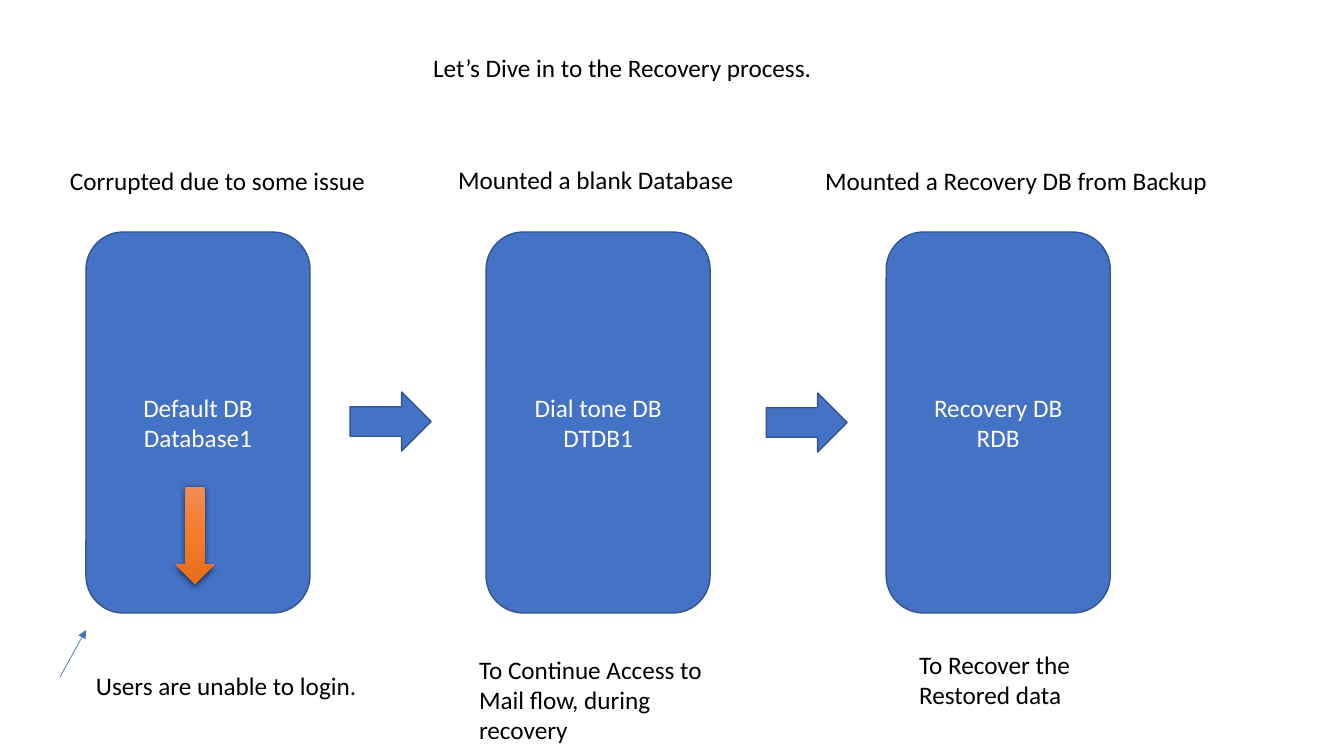
from lxml.etree import SubElement
from pptx import Presentation
from pptx.dml.color import RGBColor
from pptx.enum.shapes import MSO_CONNECTOR as Link, MSO_SHAPE as Kind
from pptx.enum.text import MSO_ANCHOR as Anchor, MSO_AUTO_SIZE as Fit, PP_ALIGN as Align
from pptx.oxml.ns import qn
from pptx.util import Inches, Pt

# Content: database cards, then labels as (text, left, top, width, height, wrap)
CARDS = [("Default DB", "Database1"), ("Dial tone DB", "DTDB1"), ("Recovery DB", "RDB")]
LABELS = [
    ("Let\u2019s Dive in to the Recovery process.", 423, 47, 403, 40, False),
    ("Corrupted due to some issue", 60, 160, 318, 40, False),
    ("Mounted a blank Database", 448, 159, 298, 40, False),
    ("Mounted a Recovery DB from Backup", 815, 160, 406, 40, False),
    ("Users are unable to login.", 86, 665, 284, 40, False),
    ("To Continue Access to Mail flow, during recovery", 469, 649, 278, 102, True),
    ("To Recover the Restored data", 909, 644, 244, 72, True),
]
STEPS = [(350, 392), (766, 393)]
GLOW = [(0, "F18C57"), (50, "F67B28"), (100, "E56C19")]

# Style
FONT, SIZE = "Calibri", Pt(18)
BLUE = RGBColor(0x44, 0x72, 0xC4)
EDGE = RGBColor(0x32, 0x54, 0x91)
WHITE = RGBColor(255, 255, 255)
BLACK = RGBColor(0, 0, 0)

# Card grid
LEFT, TOP, WIDE, HIGH, PITCH = 86, 232, 224, 381, 400


def px(*vals):
    return [round(v * Inches(1) / 100.8) for v in vals]


def write(para, text, color):
    run = para.add_run()
    run.text = text
    run.font.name, run.font.size = FONT, SIZE
    run.font.color.rgb = color


def block(kind, *box):
    shape = slide.shapes.add_shape(kind, *px(*box))
    shape.shadow.inherit = False
    shape.fill.solid()
    shape.fill.fore_color.rgb = BLUE
    shape.line.color.rgb = EDGE
    shape.line.width = Pt(1)
    return shape


def tint(node, color):
    return SubElement(node, qn("a:srgbClr"), val=color)


deck = Presentation()
deck.slide_width, deck.slide_height = Inches(13.33), Inches(7.5)
slide = deck.slides.add_slide(deck.slide_layouts[6])

# Database cards
for i, lines in enumerate(CARDS):
    frame = block(Kind.ROUNDED_RECTANGLE, LEFT + i * PITCH, TOP, WIDE, HIGH).text_frame
    frame.word_wrap = True
    frame.vertical_anchor = Anchor.MIDDLE
    for j, line in enumerate(lines):
        para = frame.add_paragraph() if j else frame.paragraphs[0]
        para.alignment = Align.CENTER
        write(para, line, WHITE)

# Arrows between cards
for x, y in STEPS:
    block(Kind.RIGHT_ARROW, x, y, 81, 59)

# Orange down arrow with gradient and soft shadow
down = block(Kind.DOWN_ARROW, 176, 487, 38, 97)
down.line.fill.background()
down.fill.gradient()
down.fill.gradient_angle = 270
props = down._element.spPr
stops = props.find(".//" + qn("a:gsLst"))
stops.clear()
for pos, color in GLOW:
    tint(SubElement(stops, qn("a:gs"), pos=str(pos * 1000)), color)
shade = SubElement(props.find(qn("a:effectLst")), qn("a:outerShdw"),
                   blurRad=str(Pt(4.5)), dist=str(Pt(1.5)), dir="5400000",
                   algn="ctr", rotWithShape="0")
SubElement(tint(shade, "000000"), qn("a:alpha"), val="63000")

# Thin pointer to the first card
link = slide.shapes.add_connector(Link.STRAIGHT, *px(60, 677, 86, 630))
link.line.color.rgb = BLUE
link.line.width = Pt(0.5)
SubElement(link.line._get_or_add_ln(), qn("a:tailEnd"), type="triangle")
SubElement(link._element.spPr, qn("a:effectLst"))

# Labels
for text, x, y, w, h, wrap in LABELS:
    frame = slide.shapes.add_textbox(*px(x, y, w, h)).text_frame
    frame.word_wrap = wrap
    frame.auto_size = Fit.SHAPE_TO_FIT_TEXT
    write(frame.paragraphs[0], text, BLACK)

deck.save("out.pptx")
